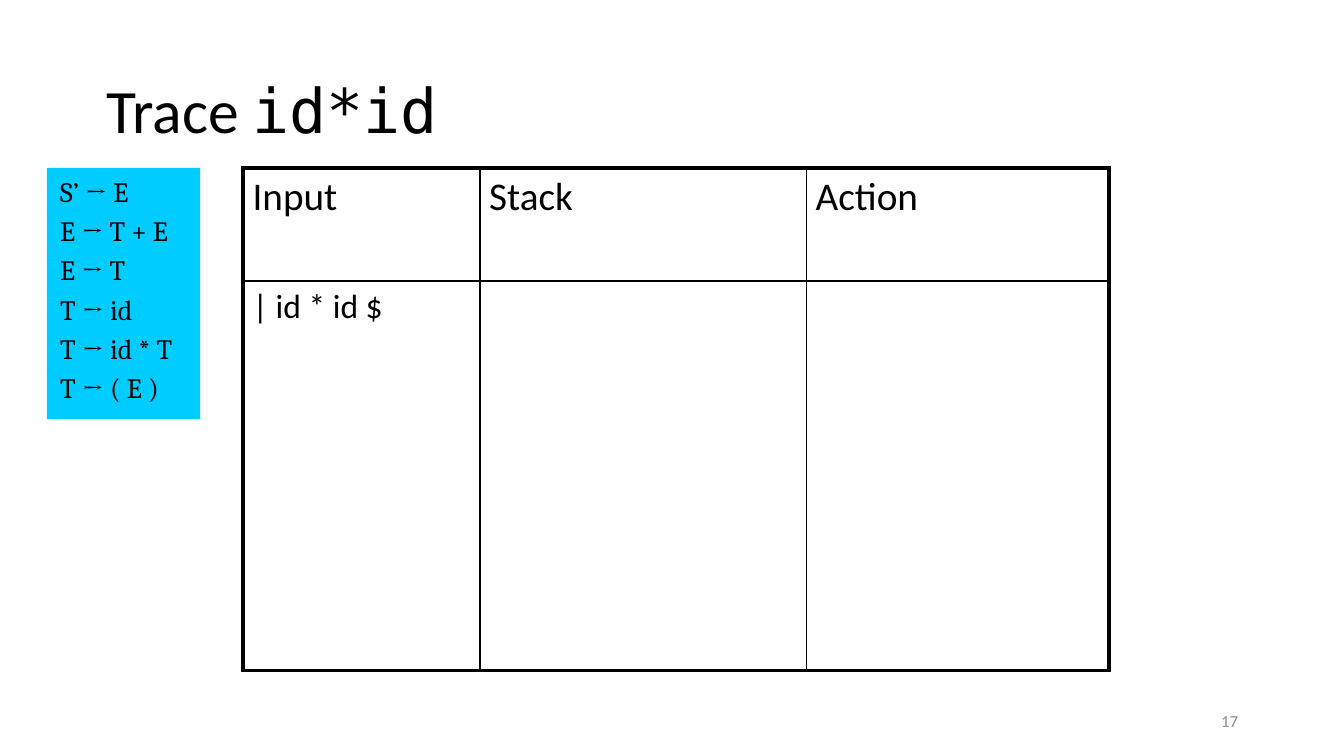
from lxml import etree
from pptx import Presentation
from pptx.dml.color import RGBColor
from pptx.enum import shapes, text
from pptx.oxml import ns
from pptx.util import Inches, Pt

BLACK = RGBColor(0, 0, 0)
GREY = RGBColor(0x8C, 0x8C, 0x8C)
CYAN = RGBColor(0x00, 0xCC, 0xFF)
THIN, THICK = Pt(1), Pt(2.25)

ARROW = "→"
RULES = [("S’", "E"), ("E", "T + E"), ("E", "T"),
         ("T", "id"), ("T", "id * T"), ("T", "( E )")]
HEADINGS = ["Input", "Stack", "Action"]
TRACE = [["| id * id $", "", ""]]


def add_span(para, words, size, name="Calibri", color=BLACK, bold=False):
    span = para.add_run()
    span.text = words
    for key, value in {"size": Pt(size), "name": name, "bold": bold}.items():
        setattr(span.font, key, value)
    span.font.color.rgb = color


def place(shape, box):
    for key, value in zip(("left", "top", "width", "height"), box):
        setattr(shape, key, Inches(value))


def add_title(page, box):
    title = page.shapes.title
    place(title, box)
    frame = title.text_frame
    frame.vertical_anchor = text.MSO_ANCHOR.MIDDLE
    frame.auto_size = text.MSO_AUTO_SIZE.NONE
    para = frame.paragraphs[0]
    para.alignment = text.PP_ALIGN.LEFT
    para.line_spacing = 0.9
    add_span(para, "Trace ", 33)
    add_span(para, "id*id", 33, "DejaVu Sans Mono")


def add_page_number(page, box):
    frame = page.shapes.add_textbox(*map(Inches, box)).text_frame
    frame.word_wrap = True
    frame.vertical_anchor = text.MSO_ANCHOR.MIDDLE
    para = frame.paragraphs[0]
    para.alignment = text.PP_ALIGN.RIGHT
    add_span(para, "17", 9, color=GREY)


def add_grammar(page, box):
    panel = page.shapes.add_shape(shapes.MSO_SHAPE.RECTANGLE, *map(Inches, box))
    panel.shadow.inherit = False
    panel.fill.solid()
    panel.fill.fore_color.rgb = CYAN
    panel.line.fill.background()
    frame = panel.text_frame
    frame.word_wrap = False
    frame.vertical_anchor = text.MSO_ANCHOR.TOP
    for index, (left, right) in enumerate(RULES):
        para = frame.add_paragraph() if index else frame.paragraphs[0]
        para.alignment = text.PP_ALIGN.LEFT
        para.space_before = Pt(3 if index else 0)
        add_span(para, left, 15, "Cambria")
        add_span(para, f" {ARROW} ", 15, "Cambria", bold=True)
        add_span(para, right, 15, "Cambria")


def set_borders(cell, widths):
    properties = cell._tc.get_or_add_tcPr()
    for side, width in widths.items():
        line = etree.SubElement(properties, ns.qn(f"a:ln{side}"), w=str(width))
        fill = etree.SubElement(line, ns.qn("a:solidFill"))
        etree.SubElement(fill, ns.qn("a:srgbClr"), val=str(BLACK))


def add_trace_table(page, box, column_widths, row_heights):
    rows = [HEADINGS] + TRACE
    last_row, last_column = len(rows) - 1, len(HEADINGS) - 1
    table = page.shapes.add_table(len(rows), len(HEADINGS), *map(Inches, box)).table
    table.first_row = table.horz_banding = False
    for column, width in zip(table.columns, column_widths):
        column.width = Inches(width)
    for row, height in zip(table.rows, row_heights):
        row.height = Inches(height)

    for r, words in enumerate(rows):
        for c, word in enumerate(words):
            cell = table.cell(r, c)
            # Thick frame outside, thin rules inside
            set_borders(cell, {"L": THIN if c else THICK,
                               "R": THICK if c == last_column else THIN,
                               "T": THIN if r else THICK,
                               "B": THICK if r == last_row else THIN})
            cell.fill.background()
            cell.margin_left = cell.margin_right = Inches(0.07)
            cell.margin_top = cell.margin_bottom = Inches(0.04)
            if word:
                add_span(cell.text_frame.paragraphs[0], word, 18 if r else 21)


def main():
    deck = Presentation()
    # Widescreen page, 16:9
    deck.slide_width = Inches(10)
    deck.slide_height = deck.slide_width * 9 // 16
    page = deck.slides.add_slide(deck.slide_layouts[5])
    add_title(page, (0.69, 0.3, 8.62, 1.09))
    add_page_number(page, (7.06, 5.21, 2.25, 0.3))
    add_trace_table(page, (1.81, 1.25, 6.44, 3.74), (1.76, 2.43, 2.25), (0.84, 2.9))
    add_grammar(page, (0.35, 1.25, 1.14, 1.87))
    deck.save("out.pptx")


if __name__ == "__main__":
    main()
